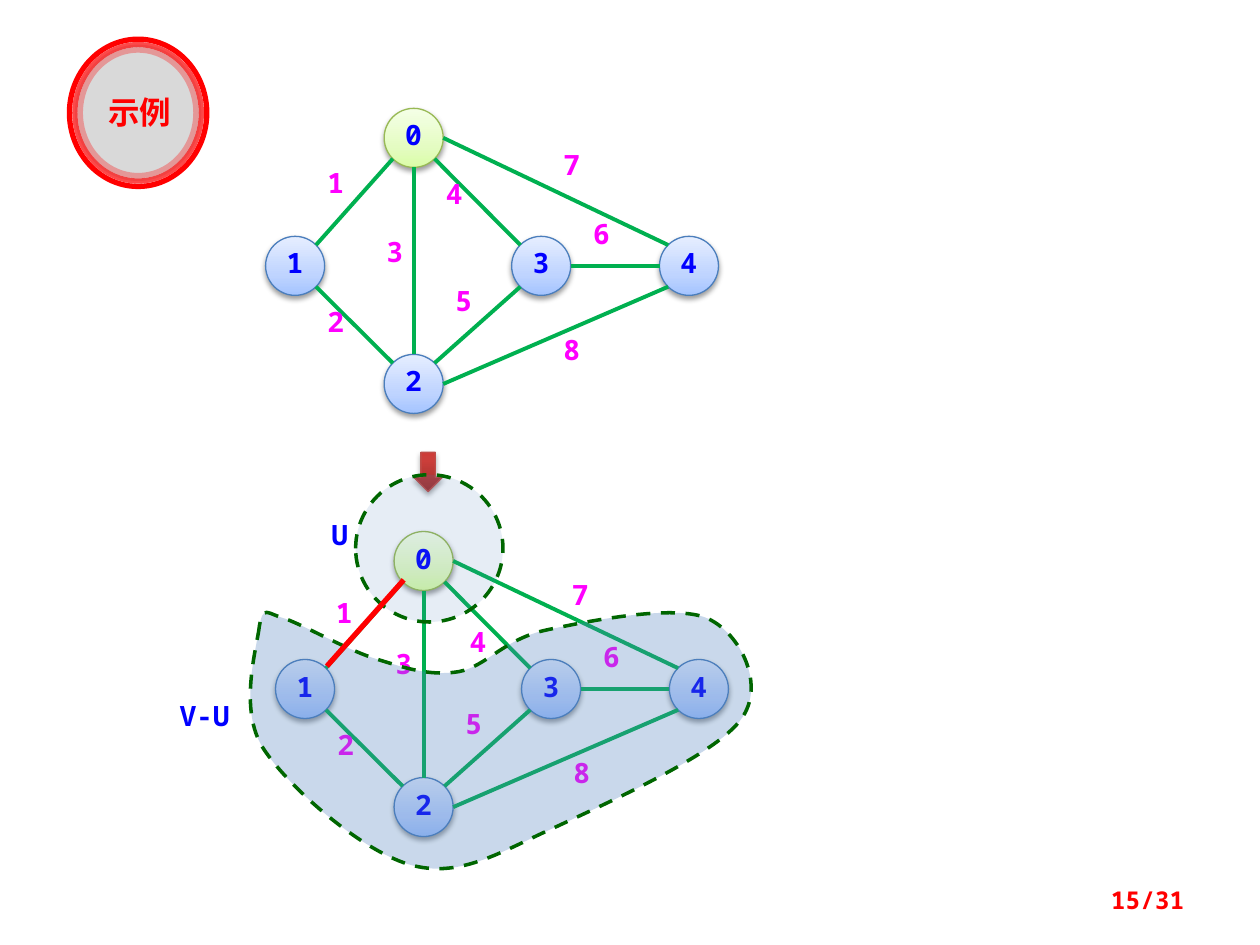
from math import hypot
from lxml import etree
from pptx import Presentation
from pptx import util as u
from pptx.dml.color import RGBColor
from pptx.enum import dml, shapes, text
from pptx.oxml.ns import qn

THEME = dict(
    mono="Noto Sans Mono", cjk="Noto Sans CJK SC",
    size=16, badge_size=18, page_size=14,
    ink="0000FF", weight="FF00FF", edge="00B050", red="FF0000",
    region="4F81BD", region_line="006600",
    start=([(0, "DAFDA7"), (35, "E4FCC2"), (100, "F5FFE7")], "98B955"),
    node=([(0, "A4C4FF"), (35, "BFD4FF"), (100, "E6EEFF")], "4B7EBC"),
    arrow=([(0, "9C2F2D"), (80, "CB3E3A"), (100, "CE3B37")], "BF4C48"),
)

# All positions are in centimetres.
DIAMETER = 1.19
NODES = {"0": (8.34, 2.78), "1": (5.95, 5.36), "2": (8.34, 7.74),
         "4": (13.89, 5.36), "3": (10.91, 5.36)}  # centres
# weight: (node, side it leaves from, node, side it enters, label position)
EDGES = {
    "1": ("0", (-1, 1), "1", (1, -1), (6.35, 3.35)),
    "2": ("1", (1, 1), "2", (-1, -1), (6.35, 6.15)),
    "3": ("0", (0, 1), "2", (0, -1), (7.54, 4.74)),
    "4": ("0", (1, 1), "3", (-1, -1), (8.74, 3.57)),
    "5": ("3", (-1, 1), "2", (1, -1), (8.93, 5.72)),
    "6": ("3", (1, 0), "4", (-1, 0), (11.71, 4.37)),
    "7": ("0", (1, 0), "4", (-1, -1), (11.11, 2.98)),
    "8": ("2", (1, 0), "4", (-1, 1), (11.11, 6.71)),
}
LOWER = (0.2, 8.53)  # shift of the second graph
LOWER_NUDGES = {"1": (-0.03, 0.13), "3": (-0.02, -0.24),
                "4": (0.28, 0.5), "7": (-0.03, 0.13)}
REGION_START = (5.23, 12.62)
REGION_CURVES = [
    ((5.18, 13.06), (4.8, 14.3), (5.31, 15.09)),
    ((5.84, 15.9), (7.34, 17.2), (8.33, 17.45)),
    ((9.32, 17.7), (10.13, 17.15), (11.23, 16.66)),
    ((12.32, 16.15), (14.43, 15.21), (14.94, 14.5)),
    ((15.44, 13.82), (14.94, 12.78), (14.27, 12.47)),
    ((13.61, 12.17), (11.86, 12.52), (11.02, 12.7)),
    ((10.16, 12.88), (9.8, 13.44), (9.25, 13.54)),
    ((8.66, 13.64), (8.15, 13.46), (7.57, 13.28)),
    ((6.99, 13.1), (6.12, 12.6), (5.74, 12.47)),
    ((5.38, 12.37), (5.31, 12.19), (5.23, 12.62)),
]
SET_NAMES = [("U", (6.43, 10.44, 0.99, 0.81)), ("V-U", (3.37, 14.08, 1.78, 0.81))]
BADGE = (1.4, 0.79, 2.77, 2.97)
RING_STEP = 0.11
BADGE_RINGS = [("F8F8F8", 100), ("D9D9D9", 70), (None, 30)]  # fill, line opacity


def cm(values):
    return [u.Cm(v) for v in values]


def shift(point, by):
    return point[0] + by[0], point[1] + by[1]


def set_alpha(paint, percent):
    color = paint._xPr.find(qn("a:solidFill"))[0]
    etree.SubElement(color, qn("a:alpha"), val=str(percent * 1000))


def set_fill(sp, color, alpha=100):
    if color is None:
        sp.fill.background()
        return
    sp.fill.solid()
    sp.fill.fore_color.rgb = RGBColor.from_string(color)
    if alpha < 100:
        set_alpha(sp.fill, alpha)


def set_line(sp, color, width, alpha=100, dashed=False):
    sp.line.color.rgb = RGBColor.from_string(color)
    sp.line.width = u.Pt(width)
    if alpha < 100:
        set_alpha(sp.line.fill, alpha)
    if dashed:
        sp.line.dash_style = dml.MSO_LINE.DASH


def write(sp, words, color, size=THEME["size"], font=THEME["mono"],
          align=text.PP_ALIGN.LEFT, spacing=0.8, middle=False):
    tf = sp.text_frame
    tf.word_wrap = True
    tf.vertical_anchor = text.MSO_ANCHOR.MIDDLE if middle else text.MSO_ANCHOR.TOP
    tf.text = words
    p = tf.paragraphs[0]
    p.alignment, p.line_spacing = align, spacing
    r = p.runs[0]
    r.font.size, r.font.bold, r.font.name = u.Pt(size), True, font
    r.font.color.rgb = RGBColor.from_string(color)
    etree.SubElement(r.font._element, qn("a:ea"), typeface=font)


def add_label(parent, words, box, color, **style):
    write(parent.add_textbox(*cm(box)), words, color, **style)


def add_shape(parent, kind, box):
    sp = parent.add_shape(kind, *cm(box))
    sp.shadow.inherit = False
    return sp


def add_glossy(parent, kind, box, look, opacity):
    """Add a shape with a bottom-to-top gradient and a soft shadow below."""
    stops, outline = look
    sp = add_shape(parent, kind, box)
    sp.fill.gradient()
    sp.fill.gradient_angle = 90
    gs_list = sp._element.spPr.find(".//" + qn("a:gsLst"))
    for gs in list(gs_list):
        gs_list.remove(gs)
    for pos, color in stops:
        gs = etree.SubElement(gs_list, qn("a:gs"), pos=str(pos * 1000))
        etree.SubElement(gs, qn("a:srgbClr"), val=color)
    set_line(sp, outline, 0.75)
    effects = sp._element.spPr.find(qn("a:effectLst"))
    shadow = etree.SubElement(effects, qn("a:outerShdw"), blurRad=str(u.Pt(3.1)),
                              dist=str(u.Pt(1.7)), dir="5400000", rotWithShape="0")
    color = etree.SubElement(shadow, qn("a:srgbClr"), val="000000")
    etree.SubElement(color, qn("a:alpha"), val=str(opacity * 1000))
    return sp


def rim(node, side, offset):
    """Point on a node's circle in the direction of side."""
    reach = DIAMETER / 2 / hypot(*side)
    return shift(shift(NODES[node], offset), (side[0] * reach, side[1] * reach))


def add_edge(parent, weight, offset, color, width):
    a, a_side, b, b_side, _ = EDGES[weight]
    ends = rim(a, a_side, offset) + rim(b, b_side, offset)
    line = parent.add_connector(shapes.MSO_CONNECTOR.STRAIGHT, *cm(ends))
    set_line(line, color, width)
    etree.SubElement(line._element.spPr, qn("a:effectLst"))


def add_graph(s, offset=(0, 0), nudges={}):
    g = s.shapes.add_group_shape().shapes
    for name, center in NODES.items():
        corner = shift(shift(center, offset), (-DIAMETER / 2, -DIAMETER / 2))
        look = THEME["start" if name == "0" else "node"]
        sp = add_glossy(g, shapes.MSO_SHAPE.OVAL, corner + (DIAMETER, DIAMETER), look, 38)
        write(sp, name, THEME["ink"], middle=True)
    for weight in EDGES:
        add_edge(g, weight, offset, THEME["edge"], 2.25)
    for weight, edge in EDGES.items():
        at = shift(shift(edge[-1], offset), nudges.get(weight, (0, 0)))
        add_label(g, weight, at + (1.19, 0.81), THEME["weight"])


def add_curved(parent, start, curves):
    """Build a closed outline whose point triples become cubic Bezier curves."""
    outline = parent.build_freeform(*cm(start))
    outline.add_line_segments([cm(point) for curve in curves for point in curve])
    sp = outline.convert_to_shape()
    sp.shadow.inherit = False
    lines = sp._element.spPr.findall(".//" + qn("a:lnTo"))
    for i in range(0, len(lines), 3):
        bezier = etree.Element(qn("a:cubicBezTo"))
        lines[i].addprevious(bezier)
        for line in lines[i:i + 3]:
            bezier.append(line[0])
            line.getparent().remove(line)
    return sp


def add_regions(s):
    g = s.shapes.add_group_shape().shapes
    circle = add_shape(g, shapes.MSO_SHAPE.OVAL, (7.17, 9.57, 2.97, 2.97))
    rest = add_curved(g, REGION_START, REGION_CURVES)
    for sp, alpha in ((circle, 14), (rest, 30)):
        set_fill(sp, THEME["region"], alpha)
        set_line(sp, THEME["region_line"], 2, dashed=True)
    for name, box in SET_NAMES:
        add_label(g, name, box, THEME["ink"])


def add_badge(s):
    g = s.shapes.add_group_shape().shapes
    x, y, w, h = BADGE
    for i, (color, alpha) in enumerate(BADGE_RINGS):
        d = i * RING_STEP
        sp = add_shape(g, shapes.MSO_SHAPE.OVAL, (x + d, y + d, w - 2 * d, h - 2 * d))
        set_fill(sp, color)
        set_line(sp, THEME["red"], 3, alpha)
    add_label(g, "示例", (1.8, 1.9, 2.03, 0.86), THEME["red"], size=THEME["badge_size"],
              font=THEME["cjk"], align=text.PP_ALIGN.CENTER)


def main():
    prs = Presentation()
    prs.slide_width, prs.slide_height = cm((25.4, 19.05))
    s = prs.slides.add_slide(prs.slide_layouts[6])
    add_graph(s)
    add_graph(s, LOWER, LOWER_NUDGES)
    add_glossy(s.shapes, shapes.MSO_SHAPE.DOWN_ARROW, (8.34, 9.12, 0.58, 0.79),
               THEME["arrow"], 35)
    add_regions(s)
    add_edge(s.shapes, "1", shift(LOWER, (0.02, -0.04)), THEME["red"], 3)
    add_badge(s)
    add_label(s.shapes, "15/31", (18.21, 17.62, 5.92, 1.02), THEME["red"],
              size=THEME["page_size"], align=text.PP_ALIGN.RIGHT, spacing=1, middle=True)
    prs.save("out.pptx")


if __name__ == "__main__":
    main()
